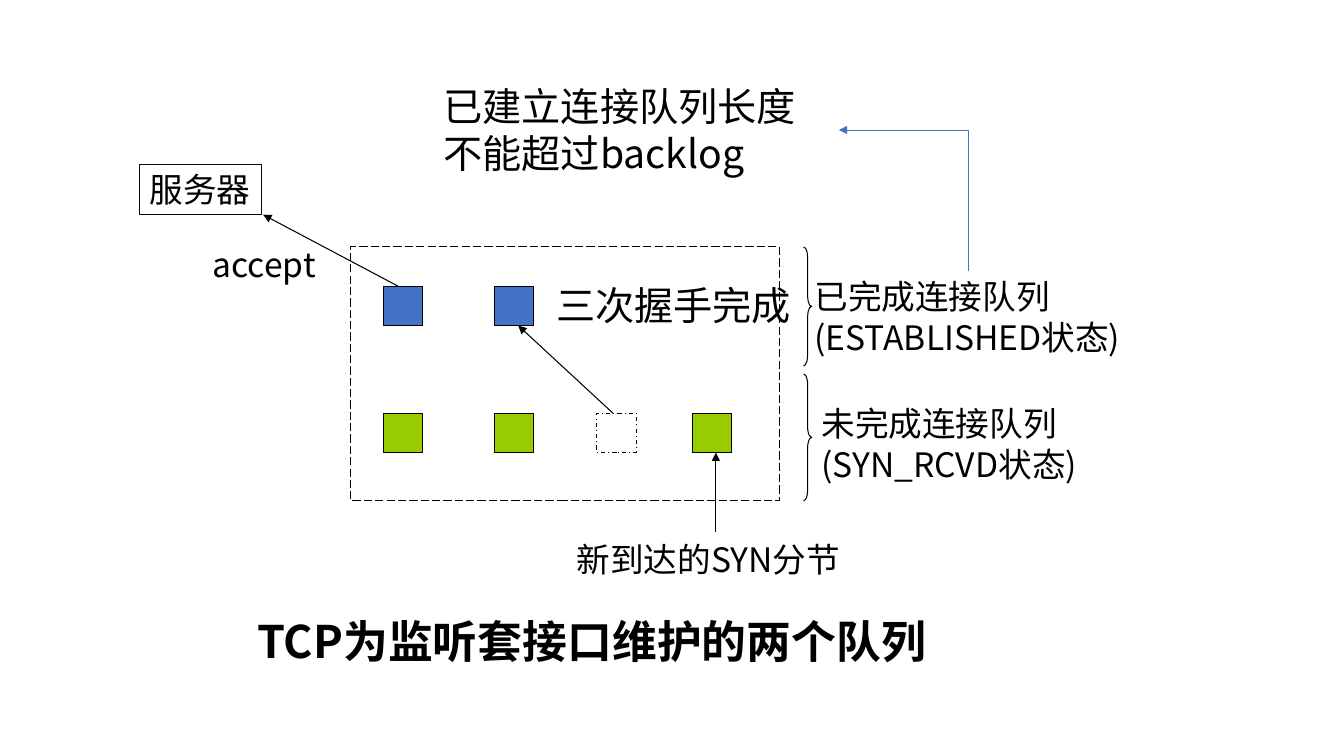
from lxml import etree
from pptx import Presentation, util as u
from pptx.dml.color import RGBColor
from pptx.enum import dml, shapes, text
from pptx.oxml import ns

BLACK = RGBColor(0x00, 0x00, 0x00)
INK = RGBColor(0x08, 0x08, 0x08)
BLUE = RGBColor(0x44, 0x72, 0xC4)
GREEN = RGBColor(0x99, 0xCC, 0x00)
FONT = "Noto Sans CJK SC"
CELL = 0.39
RECT = shapes.MSO_SHAPE.RECTANGLE
LEFT, CENTER = text.PP_ALIGN.LEFT, text.PP_ALIGN.CENTER


def within(box, left, top, width, height):
    """Return a box whose left and top are offsets from the given box."""
    return box[0] + left, box[1] + top, width, height


def write(shape, lines, size=24, align=LEFT, bold=False):
    """Fill a shape with wrapped paragraphs in the slide's font."""
    frame = shape.text_frame
    settings = {"word_wrap": True, "auto_size": text.MSO_AUTO_SIZE.SHAPE_TO_FIT_TEXT,
                "vertical_anchor": text.MSO_ANCHOR.TOP}
    for name, value in settings.items():
        setattr(frame, name, value)
    for index, line in enumerate(lines):
        para = frame.paragraphs[0] if index == 0 else frame.add_paragraph()
        para.alignment = align
        span = para.add_run()
        span.text = line
        for name, value in {"name": FONT, "size": u.Pt(size), "bold": bold}.items():
            setattr(span.font, name, value)
        span.font.color.rgb = BLACK
        etree.SubElement(span.font._element, ns.qn("a:ea"), typeface=FONT)


def label(page, box, *lines, **format_values):
    """Place a text box."""
    write(page.shapes.add_textbox(*map(u.Inches, box)), lines, **format_values)


def outline(page, box, kind=RECT, fill=None, color=BLACK, dash=None):
    """Place a thinly outlined preset shape."""
    shape = page.shapes.add_shape(kind, *map(u.Inches, box))
    shape.shadow.inherit = False
    if fill is None:
        shape.fill.background()
    else:
        shape.fill.solid()
        shape.fill.fore_color.rgb = fill
    shape.line.color.rgb = color
    shape.line.width = u.Pt(0.75)
    if dash:
        shape.line.dash_style = dash
    return shape


def arrow(page, start, end, color=BLACK, width=0.75, kind=shapes.MSO_CONNECTOR.STRAIGHT):
    """Draw a connector with a triangle at its end."""
    connector = page.shapes.add_connector(kind, *map(u.Inches, (*start, *end)))
    connector.line.color.rgb = color
    connector.line.width = u.Pt(width)
    etree.SubElement(connector.line._get_or_add_ln(), ns.qn("a:tailEnd"), type="triangle")
    etree.SubElement(connector._element.spPr, ns.qn("a:effectLst"))
    return connector


def queue_panel(page, box):
    """Draw both queues, the dashed frame and the arrows between cells."""
    left, top, width, height = box
    columns = [0.32, 1.42, 2.44, 3.39]
    done, pending = 0.39, 1.65
    cells = [(0, done, BLUE), (1, done, BLUE), (0, pending, GREEN),
             (1, pending, GREEN), (2, pending, None), (3, pending, GREEN)]
    for column, row, fill in cells:
        outline(page, within(box, columns[column], row, CELL, CELL), fill=fill,
                dash=None if fill else dml.MSO_LINE.DASH_DOT)
    outline(page, box, dash=dml.MSO_LINE.LONG_DASH)
    arrow(page, (left + 2.6, top + pending), (left + 1.66, top + done + CELL))
    label(page, within(box, 1.92, 0.29, 2.56, 0.57), "三次握手完成", size=28, align=CENTER)
    arrow(page, (left + 3.62, top + 2.83), (left + 3.62, top + pending + CELL))
    label(page, within(box, 2.1, 2.85, 2.89, 0.5), "新到达的SYN分节", align=CENTER)


def queue_states(page, box):
    """Brace each queue and name its state."""
    queues = [(0, 1.18, 1.26, (0.01, 0.24, 3.26, 0.91), "已完成连接队列", "(ESTABLISHED状态)"),
              (1.26, 1.26, 1.34, (0.08, 1.5, 2.84, 0.91), "未完成连接队列", "(SYN_RCVD状态)")]
    for top, height, curl, place, *lines in queues:
        brace = outline(page, within(box, 0, top, 0.08, height), shapes.MSO_SHAPE.RIGHT_BRACE)
        brace.adjustments[0] = curl
        label(page, within(box, *place), *lines)


def server_side(page, box):
    """Draw the server and the accept arrow leading to it."""
    left, top, width, height = box
    server = outline(page, box, color=INK)
    write(server, ["服务器"], align=CENTER)
    arrow(page, (left + 2.57, top + 1.21), (left + width + 0.02, top + height))
    label(page, within(box, 0.61, 0.74, 1.26, 0.5), "accept", align=CENTER)


def backlog_limit(page, box):
    """State the backlog limit and bend an arrow up to it."""
    left, top, width, height = box
    label(page, box, "已建立连接队列长度不能超过backlog", size=28)
    bend = arrow(page, (left + 3.96, top + 1.98), (left + 5.36, top + 0.58),
                 BLUE, 0.5, shapes.MSO_CONNECTOR.ELBOW)
    bend.top, bend.height = u.Inches(top + 0.58), u.Inches(1.28)
    properties = bend._element.spPr
    properties.find(ns.qn("a:xfrm")).set("rot", str(270 * 60000))
    properties.find(ns.qn("a:prstGeom")).set("prst", "bentConnector2")


def main():
    """Build the slide and save the deck."""
    deck = Presentation()
    deck.slide_width, deck.slide_height = u.Inches(13.33), u.Inches(7.5)
    page = deck.slides.add_slide(deck.slide_layouts[6])
    queue_panel(page, (3.48, 2.45, 4.25, 2.52))
    queue_states(page, (7.97, 2.45, 3.27, 2.52))
    server_side(page, (1.38, 1.63, 1.21, 0.5))
    backlog_limit(page, (4.3, 0.77, 4.02, 1.04))
    label(page, (2.42, 6.04, 6.9, 0.64), "TCP为监听套接口维护的两个队列",
          size=32, align=CENTER, bold=True)
    deck.save("out.pptx")


if __name__ == "__main__":
    main()
